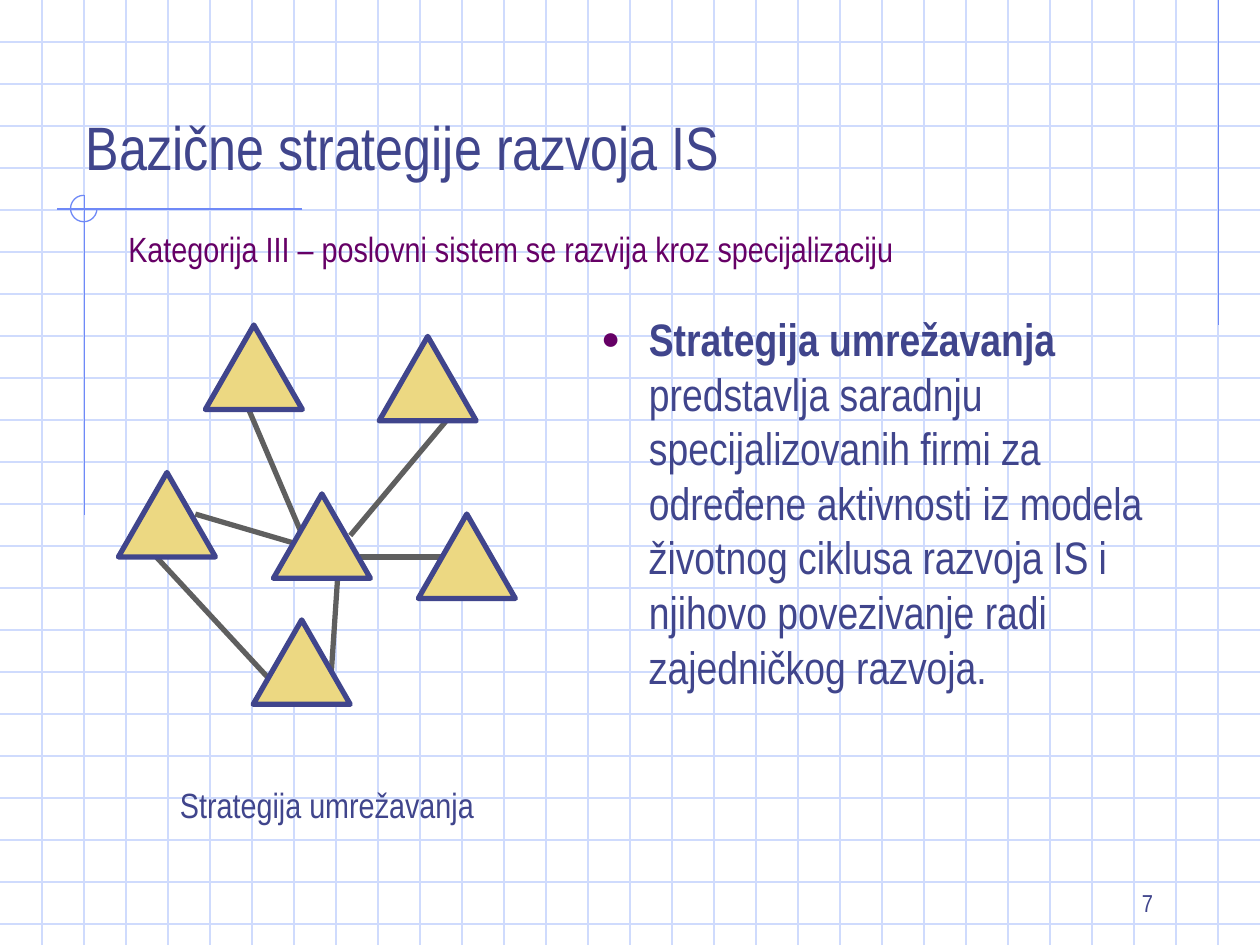
import lxml.etree
import pptx
import pptx.dml.color
import pptx.enum.shapes
import pptx.enum.text
import pptx.oxml.ns
import pptx.util

Inches = pptx.util.Inches
Pt = pptx.util.Pt
qn = pptx.oxml.ns.qn
RGB = pptx.dml.color.RGBColor.from_string
KIND = pptx.enum.shapes.MSO_SHAPE
ALIGN = pptx.enum.text.PP_ALIGN
ANCHOR = pptx.enum.text.MSO_ANCHOR


class Theme:
    font = "Arial Narrow"
    ink, plum = "40458C", "660066"
    grid, rule, link, gold = "CFDBFD", "6F89F7", "5F5F5F", "ECD882"
    title, body, label, number = 35, 26, 20, 14
    thin, thick = 0.75, 3


deck = pptx.Presentation()
deck.slide_width, deck.slide_height = Inches(10), Inches(7.5)
slide = deck.slides.add_slide(deck.slide_layouts[1])
shapes = slide.shapes


def draw(x1, y1, x2, y2, color, width):
    line = shapes.add_connector(
        pptx.enum.shapes.MSO_CONNECTOR.STRAIGHT,
        Inches(x1), Inches(y1), Inches(x2), Inches(y2))
    line.line.color.rgb = RGB(color)
    line.line.width = Pt(width)
    lxml.etree.SubElement(line._element.spPr, qn("a:effectLst"))


def write(box, place, runs, size, color=Theme.ink, anchor=ANCHOR.TOP,
          align=ALIGN.LEFT, wrap=True):
    box.left, box.top, box.width, box.height = map(Inches, place)
    frame = box.text_frame
    frame.auto_size = pptx.enum.text.MSO_AUTO_SIZE.NONE
    frame.word_wrap = wrap
    frame.vertical_anchor = anchor
    para = frame.paragraphs[0]
    para.alignment = align
    para.space_before = Pt(0)
    for text, bold in runs:
        run = para.add_run()
        run.text = text
        run.font.name = Theme.font
        run.font.size = Pt(size)
        run.font.bold = bold
        run.font.color.rgb = RGB(color)
    return para


# Background grid, three squares to the inch
for n in range(1, 23):
    draw(0, n / 3, 10, n / 3, Theme.grid, Theme.thin)
for n in range(1, 30):
    draw(n / 3, 0, n / 3, 7.5, Theme.grid, Theme.thin)

# Accent rules and the three-quarter circle
for ends in [(9.67, 0, 9.67, 2.58), (2.4, 1.66, 0.45, 1.66),
             (0.67, 1.55, 0.67, 4.09)]:
    draw(*ends, Theme.rule, Theme.thin)
arc = shapes.add_shape(KIND.ARC, Inches(0.56), Inches(1.55),
                       Inches(0.21), Inches(0.21))
arc.adjustments[0], arc.adjustments[1] = 0, 162  # 0 to 270 degrees
arc.shadow.inherit = False
arc.fill.background()
arc.line.color.rgb = RGB(Theme.rule)
arc.line.width = Pt(Theme.thin)

# Title and body, lifted above the grid
title, body = shapes.title, slide.placeholders[1]
for holder in (title, body):
    shapes._spTree.append(holder._element)
write(title, (0.58, 0.5, 8.67, 1), [("Bazične strategije razvoja IS", False)],
      Theme.title, anchor=ANCHOR.BOTTOM)
para = write(body, (4.67, 2.42, 4.83, 4.07), [
    ("Strategija umrežavanja", True),
    (" predstavlja saradnju specijalizovanih firmi za određene aktivnosti "
     "iz modela životnog ciklusa razvoja IS i njihovo povezivanje radi "
     "zajedničkog razvoja.", False)], Theme.body)

# Round plum bullet with a hanging indent
props = para._p.get_or_add_pPr()
props.set("marL", str(Inches(0.38)))
props.set("indent", str(-Inches(0.38)))
tint = lxml.etree.SubElement(props, qn("a:buClr"))
lxml.etree.SubElement(tint, qn("a:srgbClr"), val=Theme.plum)
lxml.etree.SubElement(props, qn("a:buSzPct"), val="70000")
lxml.etree.SubElement(props, qn("a:buChar"), char="●")

# Network links
for ends in [(2.4, 4.25, 1.94, 3.17), (2.86, 4.42, 3.63, 4.42),
             (1.24, 4.42, 2.24, 5.5), (2.68, 4.58, 2.63, 5.33),
             (2.78, 4.25, 3.55, 3.33), (1.55, 4.08, 2.4, 4.33)]:
    draw(*ends, Theme.link, Theme.thick)

# Network firms
for x, y in [(1.63, 2.58), (0.94, 3.75), (2.01, 4.92),
             (3.32, 4.08), (3.01, 2.67), (2.17, 3.92)]:
    firm = shapes.add_shape(KIND.ISOSCELES_TRIANGLE, Inches(x), Inches(y),
                            Inches(0.77), Inches(0.67))
    firm.shadow.inherit = False
    firm.fill.solid()
    firm.fill.fore_color.rgb = RGB(Theme.gold)
    firm.line.color.rgb = RGB(Theme.ink)
    firm.line.width = Pt(Theme.thick)

# Subtitle, caption and slide number
sub, caption, number = [shapes.add_textbox(0, 0, 0, 0) for _ in range(3)]
write(sub, (0.92, 1.76, 6.27, 0.44),
      [("Kategorija III – poslovni sistem se razvija kroz specijalizaciju",
        False)], Theme.label, Theme.plum, wrap=False)
write(caption, (1.33, 6.17, 2.53, 0.44), [("Strategija umrežavanja", False)],
      Theme.label, wrap=False)
write(number, (7.17, 6.83, 2.08, 0.5), [("7", False)], Theme.number,
      anchor=ANCHOR.BOTTOM, align=ALIGN.RIGHT)

deck.save("out.pptx")
